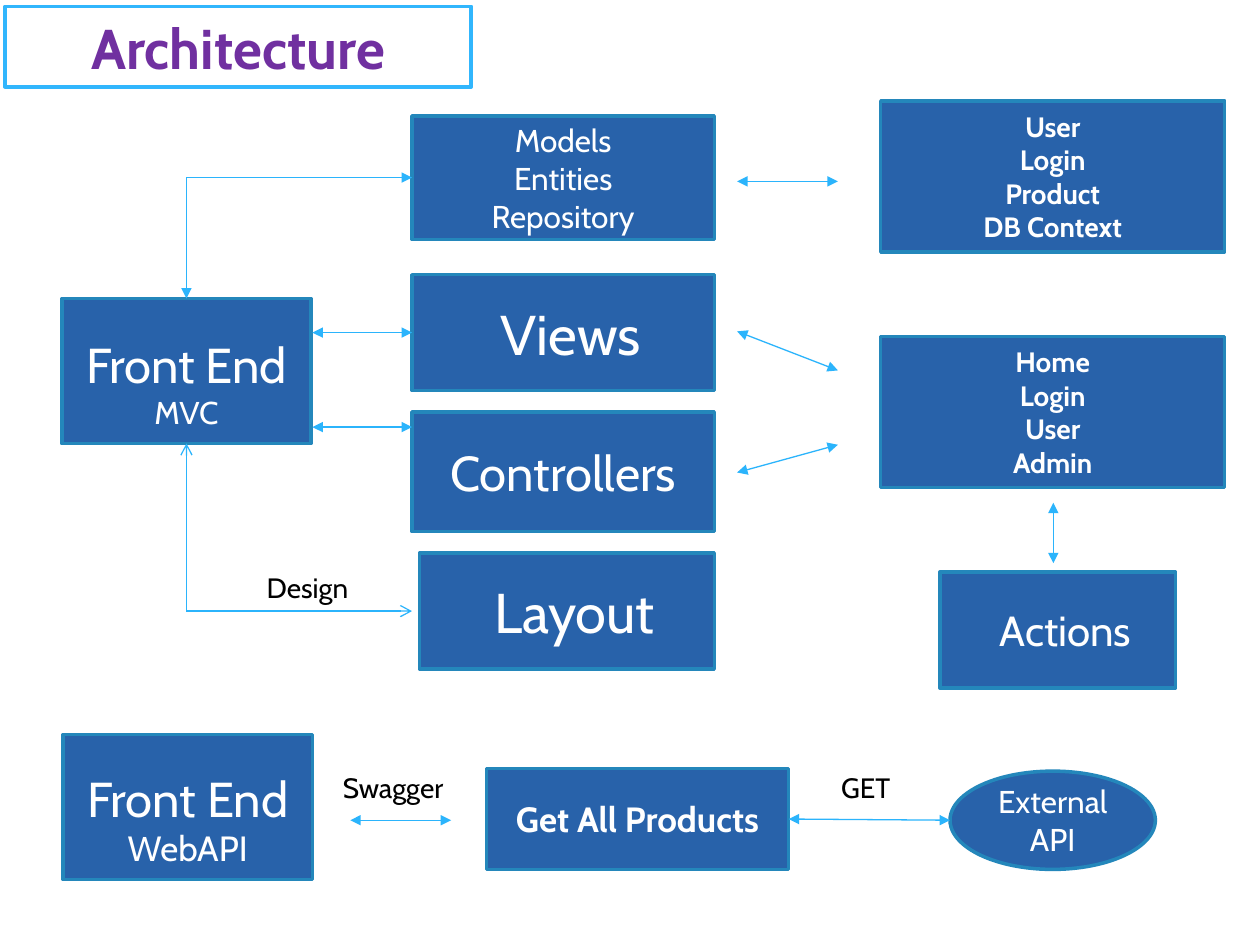
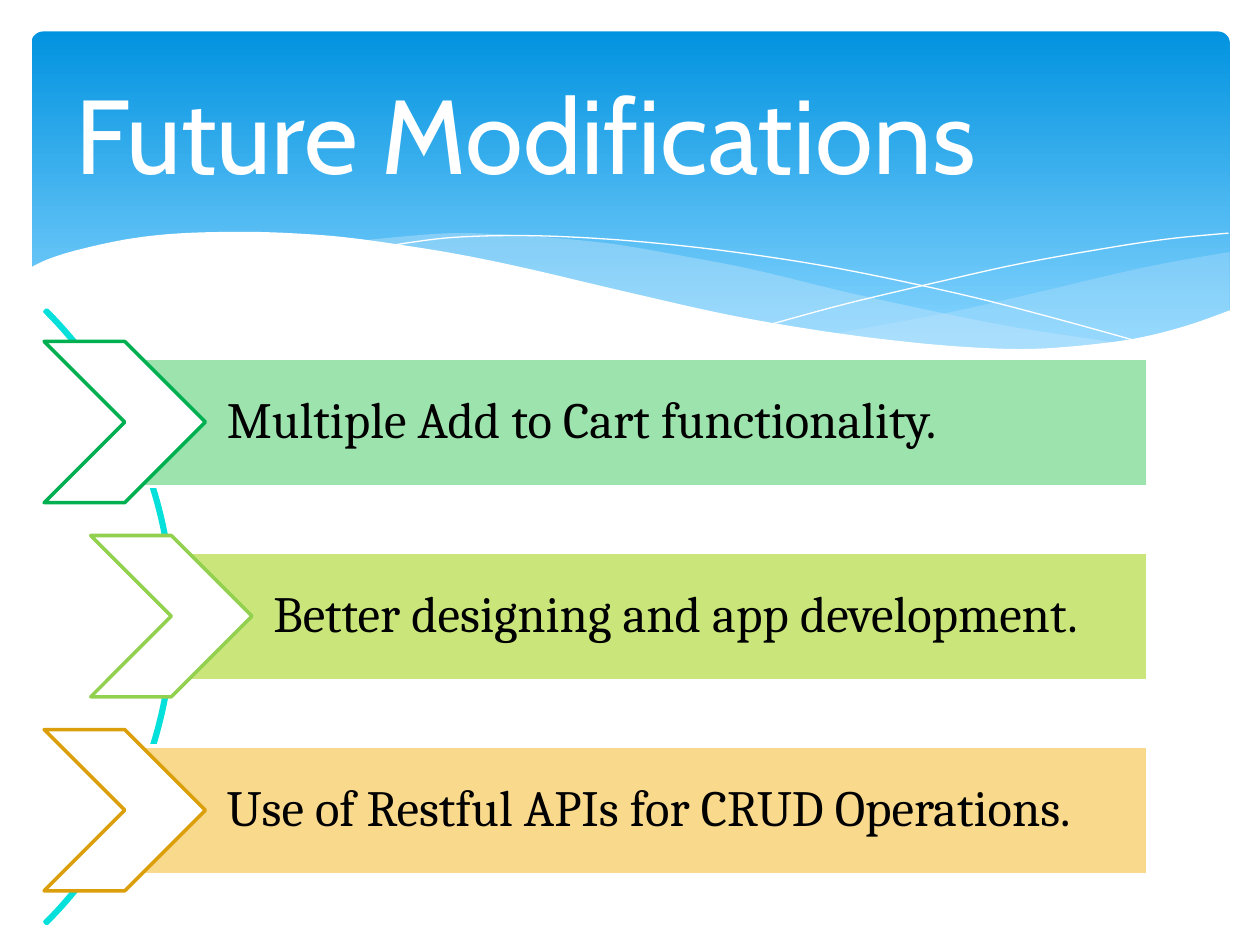
"""Build the architecture and future modifications slides."""
from lxml.etree import SubElement
from pptx import Presentation
from pptx.dml.color import RGBColor
from pptx.enum.shapes import MSO_CONNECTOR, MSO_SHAPE
from pptx.enum.text import MSO_ANCHOR, MSO_AUTO_SIZE, PP_ALIGN
from pptx.oxml.ns import qn
from pptx.util import Inches, Pt

WHITE, BLACK, PURPLE = "FFFFFF", "000000", "7030A0"
BOX_FILL, BOX_LINE, LINK, TITLE_LINE = "2862AA", "2487BB", "2BB4FC", "31B6FD"
ARC, MIST, BAND_TOP, BAND_END = "05E0DB", "C6E7FC", "0293E0", "83D3FE"
FONT, LIST_FONT = "Cabin", "Cambria"
TITLE_FRAME = {"auto_size": MSO_AUTO_SIZE.NONE}
rgb = RGBColor.from_string


def paint(sp, fill=None, line=None, width=2):
    sp.shadow.inherit = False
    if fill:
        sp.fill.solid()
        sp.fill.fore_color.rgb = rgb(fill)
    else:
        sp.fill.background()
    if line:
        sp.line.color.rgb = rgb(line)
        sp.line.width = Pt(width)
    else:
        sp.line.fill.background()


def write(sp, lines, color=WHITE, align=PP_ALIGN.CENTER, frame=None, **font):
    tf = sp.text_frame
    frame_format = {"word_wrap": True, "vertical_anchor": MSO_ANCHOR.MIDDLE, **(frame or {})}
    for name, value in frame_format.items():
        setattr(tf, name, value)
    for i, (text, size) in enumerate(lines):
        p = tf.add_paragraph() if i else tf.paragraphs[0]
        p.alignment = align
        r = p.add_run()
        r.text = text
        for name, value in {"name": FONT, "size": Pt(size), **font}.items():
            setattr(r.font, name, value)
        r.font.color.rgb = rgb(color)


prs = Presentation()
prs.slide_width, prs.slide_height = Inches(10), Inches(7.5)
title_only = prs.slide_layouts[5]

s = prs.slides.add_slide(title_only)
title = s.shapes.title
title.left, title.top, title.width, title.height = map(Inches, (0.04, 0.05, 3.7, 0.64))
paint(title, WHITE, TITLE_LINE)
write(title, [("Architecture", 32)], PURPLE, frame=TITLE_FRAME, bold=True)

LOWERED = {"margin_top": Inches(0.23)}
INDENTED = {"margin_left": Inches(0.22)}
RECT, OVAL = MSO_SHAPE.RECTANGLE, MSO_SHAPE.OVAL
boxes = {
    "mvc": (RECT, 0.49, 2.37, 1.98, 1.15, [("Front End", 28), ("MVC", 18)], LOWERED, False),
    "models": (RECT, 3.27, 0.92, 2.4, 0.98,
               [(t, 18) for t in ("Models", "Entities", "Repository")], {}, False),
    "views": (RECT, 3.27, 2.18, 2.4, 0.92, [("Views", 32)], INDENTED, False),
    "controllers": (RECT, 3.27, 3.27, 2.4, 0.95, [("Controllers", 28)], {}, False),
    "layout": (RECT, 3.33, 4.39, 2.34, 0.92, [("Layout", 32)], INDENTED, False),
    "entities": (RECT, 6.99, 0.8, 2.73, 1.2,
                 [(t, 16) for t in ("User", "Login", "Product", "DB Context")], {}, True),
    "pages": (RECT, 6.99, 2.67, 2.73, 1.2,
              [(t, 16) for t in ("Home", "Login", "User", "Admin")], {}, True),
    "actions": (RECT, 7.46, 4.54, 1.87, 0.92, [("Actions", 24)], INDENTED, False),
    "webapi": (RECT, 0.5, 5.83, 1.98, 1.15, [("Front End", 28), ("WebAPI", 20)], LOWERED, False),
    "products": (RECT, 3.86, 6.1, 2.4, 0.8, [("Get All Products", 20)], {}, True),
    "external": (OVAL, 7.54, 6.12, 1.63, 0.78, [("External API", 18)], {}, False),
}
placed = {}
for name, (kind, x, y, w, h, lines, frame, bold) in boxes.items():
    sp = s.shapes.add_shape(kind, Inches(x), Inches(y), Inches(w), Inches(h))
    paint(sp, BOX_FILL, BOX_LINE)
    write(sp, lines, frame=frame, bold=bold)
    placed[name] = sp

BOTH = {"headEnd": "triangle", "tailEnd": "triangle"}
OPEN = {"tailEnd": "arrow"}
links = [
    ((3.27, 1.41), (1.48, 2.37), BOTH, ("models", 1), ("mvc", 0)),
    ((2.48, 2.64), (3.27, 2.64), BOTH, None, ("views", 1)),
    ((2.48, 3.39), (3.27, 3.39), BOTH, None, None),
    ((5.85, 1.44), (6.65, 1.44), BOTH, None, None),
    ((5.85, 2.63), (6.65, 2.94), BOTH, None, None),
    ((5.85, 3.75), (6.65, 3.53), BOTH, None, None),
    ((8.36, 4.47), (8.36, 3.99), BOTH, None, None),
    ((1.48, 4.85), (1.48, 3.52), OPEN, None, ("mvc", 2)),
    ((1.48, 4.85), (3.27, 4.85), OPEN, None, None),
    ((2.78, 6.51), (3.58, 6.51), BOTH, None, None),
    ((6.26, 6.5), (7.54, 6.51), BOTH, ("products", 3), None),
]
for start, end, arrows, begin_at, end_at in links:
    bent = begin_at and end_at
    kind = MSO_CONNECTOR.ELBOW if bent else MSO_CONNECTOR.STRAIGHT
    c = s.shapes.add_connector(kind, *map(Inches, start + end))
    if begin_at:
        c.begin_connect(placed[begin_at[0]], begin_at[1])
    if end_at:
        c.end_connect(placed[end_at[0]], end_at[1])
    c.line.color.rgb = rgb(LINK)
    c.line.width = Pt(0.75)
    props = c.element.find(qn("p:spPr"))
    if bent:
        props.find(qn("a:prstGeom")).set("prst", "bentConnector2")
    for tag, arrow in arrows.items():
        SubElement(props.find(qn("a:ln")), qn(f"a:{tag}"), type=arrow)
    SubElement(props, qn("a:effectLst"))

for text, x, y, w in [("Design", 1.63, 4.48, 1.62), ("Swagger", 2.58, 6.06, 1.08),
                      ("GET", 6.56, 6.06, 0.62)]:
    sp = s.shapes.add_textbox(Inches(x), Inches(y), Inches(w), Inches(0.37))
    write(sp, [(text, 16)], BLACK)

s = prs.slides.add_slide(title_only)
band = s.shapes.add_shape(MSO_SHAPE.ROUNDED_RECTANGLE, *map(Inches, (0.25, 0.25, 9.51, 2.7)))
band.adjustments[0] = 0.034
paint(band)
band.fill.gradient()
band.fill.gradient_angle = 270
for stop, color, position in zip(band.fill.gradient_stops, (BAND_TOP, BAND_END), (0, 0.9)):
    stop.color.rgb = rgb(color)
    stop.position = position

waves = [
    (MIST, 29, None, [
        [(9.76, 2), (9.35, 2.07), (8.91, 2.16), (8.32, 2.3), (7.53, 2.48), (6.61, 2.65)],
        [(6.61, 2.65), (7.05, 2.71), (7.57, 2.76), (8.03, 2.78), (8.54, 2.76), (9.05, 2.69),
         (9.42, 2.59), (9.76, 2.47)]]),
    (MIST, 40, None, [
        [(2.86, 1.91), (3.28, 1.87), (3.61, 1.85), (3.99, 1.86), (4.42, 1.89), (4.89, 1.94),
         (5.41, 2.03), (5.98, 2.14), (6.68, 2.31), (7.41, 2.47), (8.07, 2.6), (8.93, 2.73)],
        [(8.93, 2.73), (8.57, 2.77), (8.07, 2.78), (7.61, 2.77), (7.09, 2.72), (6.5, 2.64),
         (5.84, 2.52), (5.3, 2.4), (4.49, 2.22), (3.83, 2.07), (3.42, 1.99), (2.86, 1.91)]]),
    (None, 100, WHITE, [
        [(3.09, 1.95), (3.53, 1.89), (4.01, 1.87), (4.5, 1.88), (5.1, 1.92), (5.82, 2),
         (6.65, 2.13), (7.6, 2.33), (8.31, 2.51), (9.07, 2.72)]]),
    (None, 100, WHITE, [
        [(6.13, 2.57), (6.72, 2.41), (7.48, 2.23), (8.06, 2.1), (8.66, 1.99), (9.24, 1.9),
         (9.75, 1.85)]]),
    (WHITE, 100, None, [
        [(9.77, 2.46), (9.4, 2.59), (8.99, 2.69), (8.5, 2.75), (8.09, 2.77), (7.61, 2.75),
         (7.08, 2.7), (6.48, 2.62), (5.79, 2.5), (5.03, 2.33), (4.18, 2.13), (3.65, 2.02),
         (3.16, 1.94), (2.71, 1.88), (2.3, 1.85), (1.93, 1.84), (1.46, 1.85), (1.06, 1.89),
         (0.67, 1.97), (0.4, 2.05), (0.23, 2.13)],
        [(0.23, 3.29), (9.77, 3.29)]]),
]
STEPS = 6
for fill, alpha, line, curves in waves:
    points = []
    for curve in curves:
        knots = [curve[0], *curve, curve[-1]]
        for a, b, c, d in zip(knots, knots[1:], knots[2:], knots[3:]):
            for t in (i / STEPS for i in range(STEPS)):
                points.append([Inches(q + ((r - p) * t + (2 * p - 5 * q + 4 * r - u) * t ** 2
                                           + (3 * q - p - 3 * r + u) * t ** 3) / 2)
                               for p, q, r, u in zip(a, b, c, d)])
        points.append([Inches(v) for v in curve[-1]])
    builder = s.shapes.build_freeform(*points[0])
    builder.add_line_segments(points[1:], close=bool(fill))
    wave = builder.convert_to_shape()
    paint(wave, fill, line, 0)
    if alpha < 100:
        color = wave.element.find(".//" + qn("a:srgbClr"))
        SubElement(color, qn("a:alpha"), val=str(alpha * 1000))

title = s.shapes.title
title.element.getparent().append(title.element)
title.left, title.top, title.width, title.height = map(Inches, (0.5, 0.37, 9, 1.37))
write(title, [("Future Modifications", 60)], align=PP_ALIGN.LEFT, frame=TITLE_FRAME)

arc = s.shapes.add_shape(MSO_SHAPE.BLOCK_ARC, *map(Inches, (-5.51, 1.45, 6.89, 6.89)))
for i, value in enumerate((189, 27, 0.003)):
    arc.adjustments[i] = value
paint(arc, line=ARC)

BAR_FRAME = {"margin_left": Inches(0.81), "margin_right": Inches(0.08),
             "margin_top": Inches(0.08), "margin_bottom": Inches(0.08)}
BAR_RIGHT, PITCH = 9.11, 1.54
plans = [
    ("Multiple Add to Cart functionality.", 0.99, "9DE3AE", "00B050"),
    ("Better designing and app development.", 1.36, "CAE67B", "92D050"),
    ("Use of Restful APIs for CRUD Operations.", 0.99, "F9D98C", "DC9F0C"),
]
for i, (text, x, fill, line) in enumerate(plans):
    y = 2.84 + i * PITCH
    bar = s.shapes.add_shape(RECT, *map(Inches, (x, y, BAR_RIGHT - x, 1.02)))
    paint(bar, fill, WHITE)
    write(bar, [(text, 29)], BLACK, PP_ALIGN.LEFT, BAR_FRAME, name=LIST_FONT)
    bar.text_frame.paragraphs[0].line_spacing = 0.9
    chevron = s.shapes.add_shape(MSO_SHAPE.CHEVRON, *map(Inches, (x - 0.64, y - 0.13, 1.28, 1.28)))
    paint(chevron, WHITE, line)

prs.save("out.pptx")
